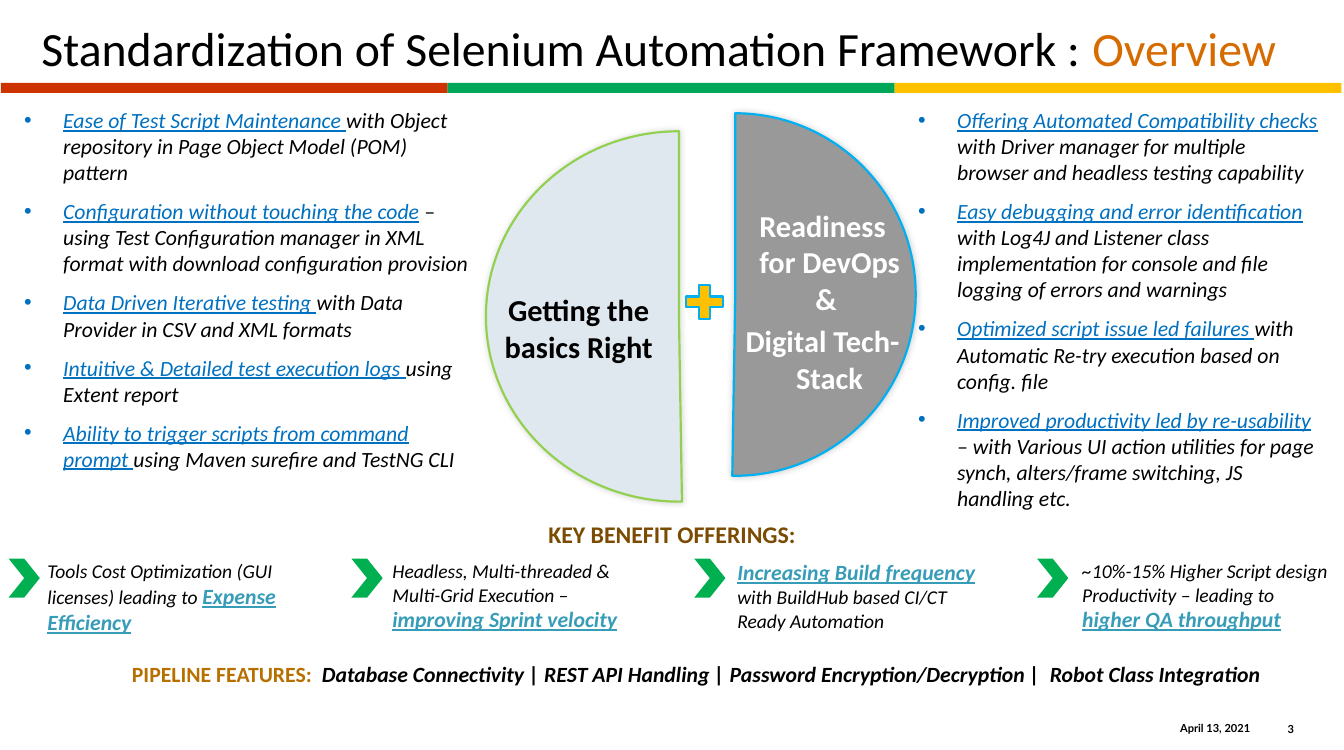
from lxml import etree
from pptx import Presentation
from pptx.dml.color import RGBColor
from pptx.enum.shapes import MSO_SHAPE as Preset
from pptx.enum.text import MSO_ANCHOR as Anchor, PP_ALIGN as Align
from pptx.oxml.ns import qn
from pptx.util import Pt

COLORS = {
    "black": "000000", "white": "FFFFFF", "red": "CC3300", "green": "00A758",
    "gold": "FFC000", "orange": "D66B00", "brown": "7A4B00", "ochre": "B77000",
    "blue": "0070C0", "teal": "369CB8", "sky": "00B0F0", "lime": "92D050",
    "gray": "999999", "ice": "E2EEF9", "arrow": "00B050",
}

# Text styles: size, colour, flags (b = bold, i = italic, u = underline), font
STYLES = {
    "title": (44, "black", "", "Calibri"),
    "title accent": (44, "orange", "", "Calibri"),
    "practice": (20, "blue", "iu", "Calibri"),
    "detail": (20, "black", "i", "Calibri"),
    "basics": (28, "black", "b", "Calibri"),
    "readiness": (28, "white", "b", "Calibri"),
    "offerings": (22, "brown", "b", "Calibri"),
    "benefit": (18, "black", "i", "Calibri"),
    "outcome": (20, "teal", "biu", "Calibri"),
    "pipeline": (20, "ochre", "b", "Calibri"),
    "feature": (20, "black", "bi", "Calibri"),
    "footer": (10.2, "black", "b", "Lato"),
}

FRAMEWORK_BASICS = [
    ("Ease of Test Script Maintenance ",
     "with Object repository in Page Object Model (POM) pattern"),
    ("Configuration without touching the code",
     " – using Test Configuration manager in XML format with download configuration provision"),
    ("Data Driven Iterative testing ", "with Data Provider in CSV and XML formats"),
    ("Intuitive & Detailed test execution logs ", "using Extent report"),
    ("Ability to trigger scripts from command prompt ",
     "using Maven surefire and TestNG CLI"),
]
DEVOPS_READINESS = [
    ("Offering Automated Compatibility checks ",
     "with Driver manager for multiple browser and headless testing capability"),
    ("Easy debugging and error identification ",
     "with Log4J and Listener class implementation for console and file logging of errors and warnings"),
    ("Optimized script issue led failures ",
     "with Automatic Re-try execution based on config. file"),
    ("Improved productivity led by re-usability ",
     "– with Various UI action utilities for page synch, alters/frame switching, JS handling etc."),
]
BENEFITS = [
    [("Tools Cost Optimization (GUI licenses) leading to ", "benefit"),
     ("Expense Efficiency", "outcome")],
    [("Headless, Multi-threaded & Multi-Grid Execution – ", "benefit"),
     ("improving Sprint velocity", "outcome")],
    [("Increasing Build frequency ", "outcome"),
     ("with BuildHub based CI/CT Ready Automation", "benefit")],
    [("~10%-15% Higher Script design Productivity – leading to ", "benefit"),
     ("higher QA throughput", "outcome")],
]


def rgb(color):
    return RGBColor.from_string(COLORS[color])


def points(*lengths):
    return [Pt(length) for length in lengths]


def add_runs(paragraph, pieces):
    for text, style in pieces:
        size, color, flags, typeface = STYLES[style]
        run = paragraph.add_run()
        run.text = text
        run.font.size = Pt(size)
        run.font.name = typeface
        run.font.color.rgb = rgb(color)
        run.font.bold = "b" in flags
        run.font.italic = "i" in flags
        run.font.underline = "u" in flags


def set_indent(paragraph, hanging):
    properties = paragraph._p.get_or_add_pPr()
    properties.set("marL", str(Pt(hanging)))
    properties.set("indent", str(-Pt(hanging)))
    return properties


def add_text(slide, box, paragraphs, align=Align.LEFT, anchor=Anchor.TOP,
             margins=(7.2, 3.6, 7.2, 3.6)):
    frame = slide.shapes.add_textbox(*points(*box)).text_frame
    frame.word_wrap = True
    frame.vertical_anchor = anchor
    (frame.margin_left, frame.margin_top,
     frame.margin_right, frame.margin_bottom) = points(*margins)
    for index, pieces in enumerate(paragraphs):
        paragraph = frame.add_paragraph() if index else frame.paragraphs[0]
        paragraph.alignment = align
        add_runs(paragraph, pieces)
    return frame


def add_bullets(slide, box, items):
    frame = add_text(slide, box, [[(practice, "practice"), (detail, "detail")]
                                  for practice, detail in items])
    for paragraph in frame.paragraphs:
        properties = set_indent(paragraph, 36)
        etree.SubElement(properties, qn("a:buFont"), typeface="Arial")
        etree.SubElement(properties, qn("a:buChar"), char="•")
        paragraph.space_after = Pt(12)


def add_solid(slide, preset, box, fill, line=None):
    shape = slide.shapes.add_shape(preset, *points(*box))
    shape.shadow.inherit = False
    shape.fill.solid()
    shape.fill.fore_color.rgb = rgb(fill)
    if line:
        shape.line.color.rgb = rgb(line)
        shape.line.width = Pt(2)
    else:
        shape.line.fill.background()
    return shape


def add_alpha(color_element, percent):
    etree.SubElement(color_element, qn("a:alpha"), val=str(percent * 1000))


def add_half_pie(slide, box, fill, line, shadow_angle):
    half = add_solid(slide, Preset.PIE, box, fill, line)
    half.adjustments[0] = 53.437
    half.adjustments[1] = 162
    effects = half._element.spPr.find(qn("a:effectLst"))
    shadow = etree.SubElement(effects, qn("a:outerShdw"), blurRad=str(Pt(6)),
                              dist="0", dir=str(shadow_angle * 60000))
    add_alpha(etree.SubElement(shadow, qn("a:srgbClr"), val=COLORS["black"]), 20)
    return half


def add_halves(slide):
    readiness = add_half_pie(slide, (511.2, 104.4, 332.6, 334.1), "gray", "sky", 315)
    readiness._element.spPr.find(qn("a:xfrm")).set("flipH", "1")
    label = add_text(slide, (675.4, 187.2, 164.9, 172),
                     [[("Readiness for DevOps & ", "readiness")],
                      [("Digital Tech-Stack", "readiness")]], Align.CENTER)
    for paragraph in label.paragraphs:
        set_indent(paragraph, 13)
    label.paragraphs[1].space_before = Pt(5.6)

    add_solid(slide, Preset.MATH_PLUS, (625.7, 257, 46.8, 42.5), "gold", "sky")

    basics = add_half_pie(slide, (447.8, 121, 355.7, 341.3), "ice", "lime", 225)
    add_alpha(basics._element.spPr.find(qn("a:solidFill"))[0], 66)
    add_text(slide, (454.3, 265, 157.7, 70.6),
             [[("Getting the basics Right", "basics")]], Align.CENTER)


def main():
    deck = Presentation()
    deck.slide_width, deck.slide_height = points(1238.4, 691.2)
    slide = deck.slides.add_slide(deck.slide_layouts[6])

    # Title and three-colour rule
    title = add_text(slide, (38.2, 18.7, 1200, 57.6),
                     [[("Standardization of Selenium Automation Framework : ", "title"),
                       ("Overview", "title accent")]],
                     anchor=Anchor.MIDDLE, margins=(0, 0, 0, 0))
    title.paragraphs[0].line_spacing = 0.9
    for index, color in enumerate(("red", "green", "gold")):
        add_solid(slide, Preset.RECTANGLE, (0.7 + 411.8 * index, 76.3, 411.8, 9.4), color)

    # Two halves and their practices
    add_halves(slide)
    add_bullets(slide, (15.1, 95, 430.6, 301.7), FRAMEWORK_BASICS)
    add_bullets(slide, (838.8, 95, 385.2, 357.8), DEVOPS_READINESS)

    # Key benefits
    add_text(slide, (0, 475.2, 1238.4, 31.7),
             [[("KEY BENEFIT OFFERINGS:", "offerings")]], Align.CENTER)
    for index, benefit in enumerate(BENEFITS):
        add_solid(slide, Preset.CHEVRON, (7.9 + 315.9 * index, 514.8, 28.8, 36), "arrow")
        add_text(slide, (36.7 + 317.8 * index, 511.9, 244.8, 86.4), [benefit])

    # Pipeline features
    add_text(slide, (0, 606.2, 1238.4, 29.5),
             [[("PIPELINE FEATURES:  ", "pipeline"),
               ("Database Connectivity | REST API Handling | "
                "Password Encryption/Decryption |  Robot Class Integration", "feature")]],
             Align.CENTER, margins=(50, 3, 5, 3))

    # Date and page number
    for box, text in (((1046.2, 660.2, 105.8, 17.3), "April 13, 2021"),
                      ((1163.5, 660.2, 28.8, 18), "3")):
        add_text(slide, box, [[(text, "footer")]], Align.RIGHT, Anchor.BOTTOM, (0, 0, 0, 0))

    deck.save("out.pptx")


if __name__ == "__main__":
    main()
